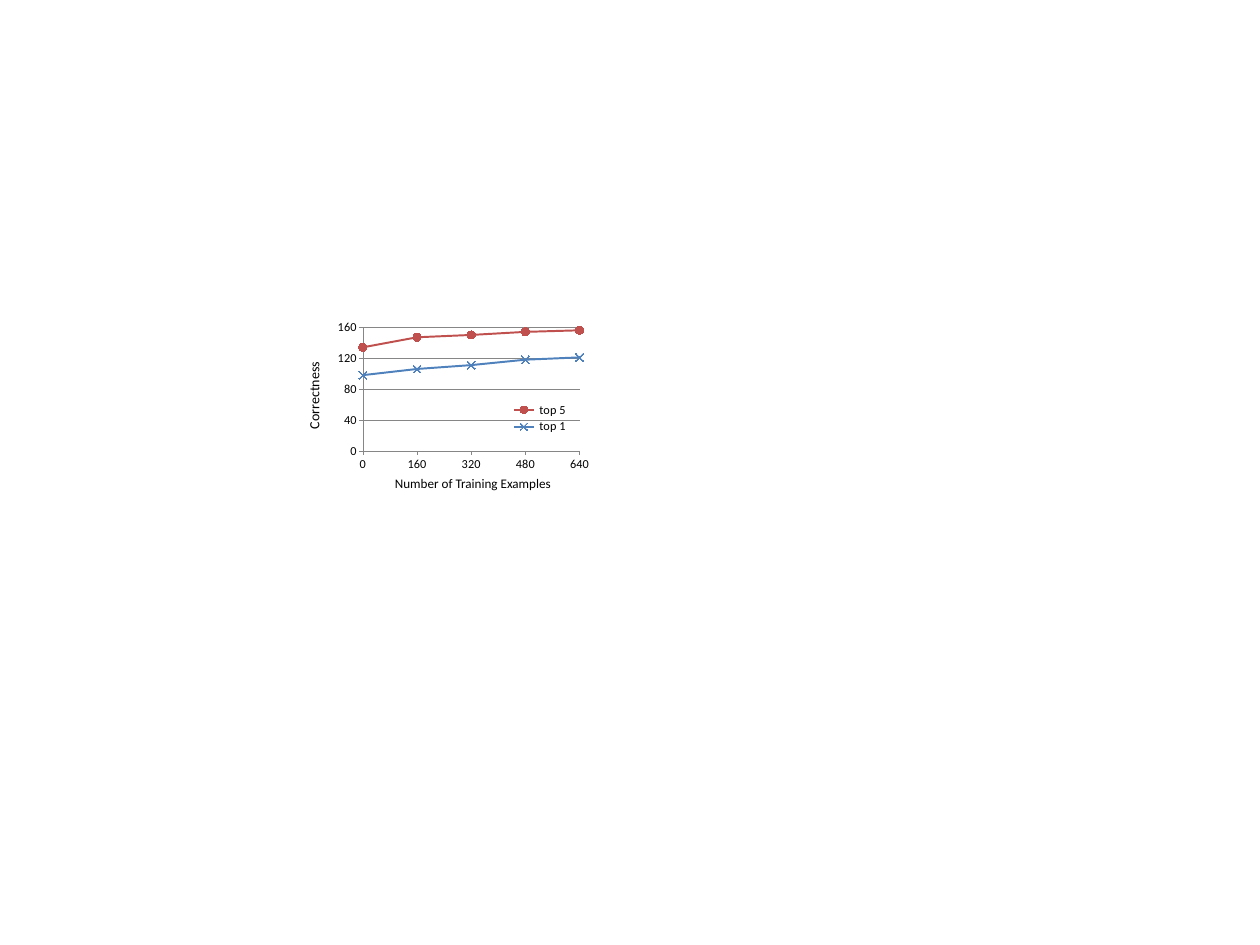
import pptx
import pptx.util
import pptx.dml.color
import pptx.chart.data
import pptx.enum.chart
import pptx.enum.text
import pptx.oxml
import pptx.oxml.ns

Pt = pptx.util.Pt
RGBColor = pptx.dml.color.RGBColor
BLACK = RGBColor(0, 0, 0)
GRAY = RGBColor(0x86, 0x86, 0x86)
RED = RGBColor(0xC0, 0x50, 0x4D)
BLUE = RGBColor(0x4F, 0x81, 0xBD)
FONT = "Calibri"
CHART_NS = 'xmlns:c="http://schemas.openxmlformats.org/drawingml/2006/chart"'

deck = pptx.Presentation()
deck.slide_width, deck.slide_height = Pt(1440), Pt(1080)
slide = deck.slides.add_slide(deck.slide_layouts[6])


def add_text(text, left, top, width, height, size, vertical=False):
    box = slide.shapes.add_textbox(Pt(left), Pt(top), Pt(width), Pt(height))
    frame = box.text_frame
    frame.word_wrap = False
    frame.auto_size = pptx.enum.text.MSO_AUTO_SIZE.SHAPE_TO_FIT_TEXT
    if vertical:
        frame._txBody.bodyPr.set("vert", "vert270")
    run = frame.paragraphs[0].add_run()
    run.text = text
    run.font.name, run.font.size = FONT, Pt(size)
    run.font.color.rgb = BLACK


def manual_layout(x, y, w, h, target=""):
    return pptx.oxml.parse_xml(
        f'<c:layout {CHART_NS}><c:manualLayout>{target}'
        '<c:xMode val="edge"/><c:yMode val="edge"/>'
        f'<c:x val="{x}"/><c:y val="{y}"/><c:w val="{w}"/><c:h val="{h}"/>'
        '</c:manualLayout></c:layout>')


add_text("Number of Training Examples", 444.24, 539.28, 196.56, 25.2, 15)
add_text("Correctness", 345.6, 412.56, 33.84, 84.96, 16, vertical=True)

correctness = pptx.chart.data.CategoryChartData()
correctness.categories = [0, 160, 320, 480, 640]
correctness.add_series(" top 5", [134, 147, 150, 154, 156])
correctness.add_series(" top 1", [98, 106, 111, 118, 121])
chart = slide.shapes.add_chart(
    pptx.enum.chart.XL_CHART_TYPE.LINE_MARKERS,
    Pt(368.64), Pt(361.44), Pt(360), Pt(185.04), correctness).chart
chart.has_title = False
chart.font.name, chart.font.size = FONT, Pt(10)
chart.font.color.rgb = BLACK
chart.plots[0].vary_by_categories = False

examples_axis, correct_axis = chart.category_axis, chart.value_axis
for axis in (examples_axis, correct_axis):
    axis.major_tick_mark = pptx.enum.chart.XL_TICK_MARK.OUTSIDE
    axis.minor_tick_mark = pptx.enum.chart.XL_TICK_MARK.NONE
    axis.tick_labels.font.size = Pt(14)
    axis.format.line.color.rgb = GRAY
    axis.format.line.width = Pt(0.75)
examples_axis.has_major_gridlines = False
correct_axis.minimum_scale, correct_axis.maximum_scale = 0, 160
correct_axis.major_unit = 40
correct_axis.has_major_gridlines = True
correct_axis.major_gridlines.format.line.color.rgb = GRAY
correct_axis.major_gridlines.format.line.width = Pt(0.75)
major_unit = correct_axis._element.find(pptx.oxml.ns.qn("c:majorUnit"))
major_unit.addprevious(
    pptx.oxml.parse_xml(f'<c:crossBetween {CHART_NS} val="midCat"/>'))

marker_styles = pptx.enum.chart.XL_MARKER_STYLE
looks = [(RED, marker_styles.CIRCLE), (BLUE, marker_styles.X)]
for series, (color, style) in zip(chart.plots[0].series, looks):
    series.smooth = False
    series.format.line.color.rgb = color
    series.format.line.width = Pt(2.25)
    marker = series.marker
    marker.style, marker.size = style, 9
    marker.format.fill.solid()
    marker.format.fill.fore_color.rgb = color
    if style == marker_styles.CIRCLE:
        marker.format.line.fill.background()
    else:
        marker.format.line.color.rgb = color

chart.has_legend = True
legend = chart.legend
legend.position = pptx.enum.chart.XL_LEGEND_POSITION.RIGHT
legend.include_in_layout = False
legend.font.size = Pt(14)

plot_area = chart._chartSpace.chart.plotArea
areas = [
    (plot_area, 0, (0.128, 0.068, 0.688, 0.764, '<c:layoutTarget val="inner"/>')),
    (legend._element, 1, (0.57, 0.52, 0.24, 0.22)),
]
for area, position, bounds in areas:
    for automatic in area.findall(pptx.oxml.ns.qn("c:layout")):
        area.remove(automatic)
    area.insert(position, manual_layout(*bounds))

deck.save("out.pptx")
